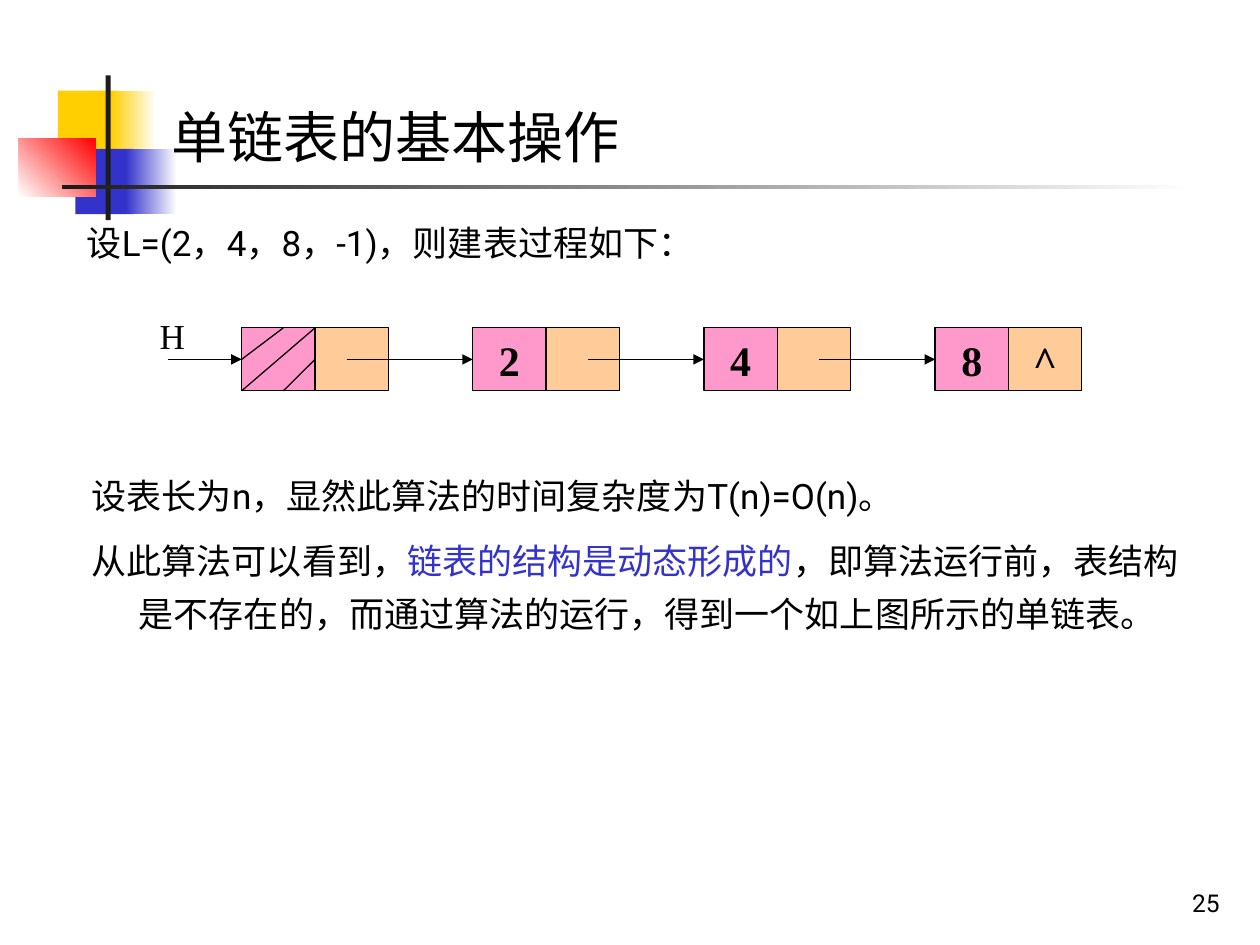
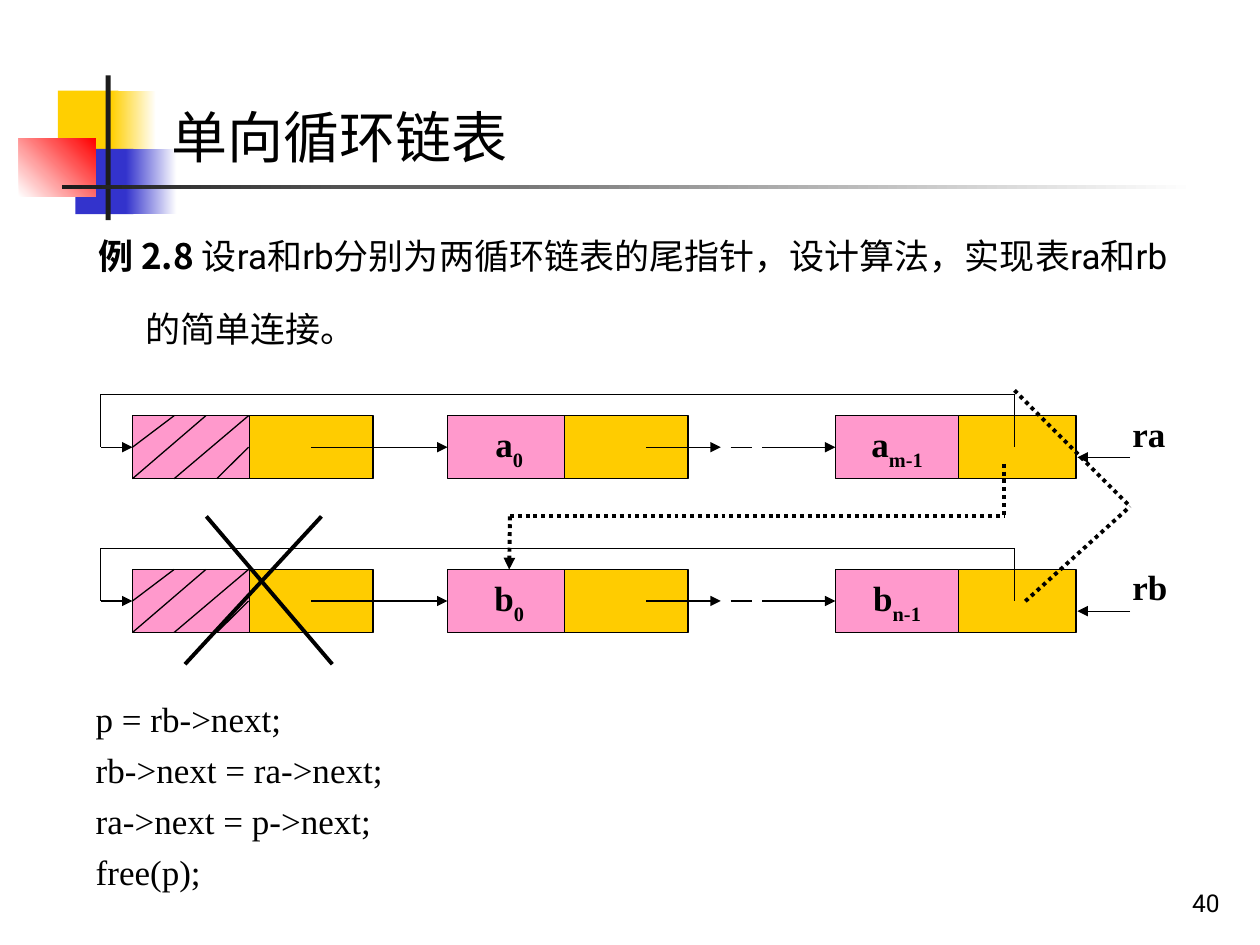
from pptx import Presentation
from pptx.dml.color import RGBColor
from pptx.enum.dml import MSO_LINE
from pptx.enum.shapes import MSO_CONNECTOR as CONNECTOR, MSO_SHAPE as SHAPE
from pptx.enum.text import MSO_ANCHOR as ANCHOR, PP_ALIGN as ALIGN
from pptx.oxml.ns import qn
from pptx.util import Cm, Pt
from lxml.etree import SubElement

BLACK, WHITE, INK = "000000", "FFFFFF", "1C1C1C"
YELLOW, BLUE, RED = "FFCF01", "3333CC", "FF0000"
PINK, PEACH, GOLD = "FF99CC", "FFCC99", "FFCC00"
BODY_FONT, TITLE_FONT, CJK_FONT = "Roboto", "Noto Sans CJK JP", "Noto Sans CJK SC"
SERIF = "Times New Roman"
CELL_HEIGHT = 1.27
MIDDLE = CELL_HEIGHT / 2


def color(value):
    return RGBColor.from_string(value)


# ---- Text ----
def add_run(paragraph, text, size=20, font=BODY_FONT, fill=BLACK, bold=False,
            subscript=False):
    run = paragraph.add_run()
    run.text = text
    run.font.size = Pt(size)
    run.font.name = font
    run.font.bold = bold
    run.font.color.rgb = color(fill)
    properties = run.font._element
    east_asian = TITLE_FONT if font == TITLE_FONT else CJK_FONT
    SubElement(properties, qn("a:ea")).set("typeface", east_asian)
    if subscript:
        properties.set("baseline", "-30000")


def write(shape, paragraphs, align=ALIGN.LEFT, anchor=ANCHOR.TOP, margin=0.25,
          space=0, line_spacing=None, hanging=0, **run_format):
    """Each paragraph is a string or a list of (text, format changes)."""
    frame = shape.text_frame
    frame.word_wrap = True
    frame.vertical_anchor = anchor
    frame.margin_left = frame.margin_right = Cm(margin)
    frame.margin_top = frame.margin_bottom = Cm(0.13)
    for index, content in enumerate(paragraphs):
        paragraph = frame.add_paragraph() if index else frame.paragraphs[0]
        paragraph.alignment = align
        if index:
            paragraph.space_before = Pt(space)
        if line_spacing:
            paragraph.line_spacing = line_spacing
        if hanging:
            properties = paragraph._p.get_or_add_pPr()
            properties.set("marL", str(Cm(hanging)))
            properties.set("indent", str(-Cm(hanging)))
        runs = [(content, {})] if isinstance(content, str) else content
        for text, changes in runs:
            add_run(paragraph, text, **{**run_format, **changes})


def add_text(slide, left, top, width, height, paragraphs, **text_format):
    box = slide.shapes.add_textbox(Cm(left), Cm(top), Cm(width), Cm(height))
    write(box, paragraphs, **text_format)


# ---- Shapes and lines ----
def add_box(slide, left, top, width, height, fill, fade=None, angle=0, line=None):
    box = slide.shapes.add_shape(SHAPE.RECTANGLE, Cm(left), Cm(top), Cm(width), Cm(height))
    box.shadow.inherit = False
    if fade:
        box.fill.gradient()
        box.fill.gradient_angle = angle
        for stop, value in zip(box.fill.gradient_stops, (fill, fade)):
            stop.color.rgb = color(value)
    else:
        box.fill.solid()
        box.fill.fore_color.rgb = color(fill)
    if line:
        box.line.color.rgb = color(line)
        box.line.width = Pt(0.75)
    else:
        box.line.fill.background()
    return box


def add_line(slide, x1, y1, x2, y2, width=0.75, arrow=False, dotted=False, target=None,
             side=1):
    connector = slide.shapes.add_connector(CONNECTOR.STRAIGHT, Cm(x1), Cm(y1), Cm(x2), Cm(y2))
    if target is not None:
        connector.end_connect(target, side)
    connector.line.width = Pt(width)
    connector.line.color.rgb = color(BLACK)
    if dotted:
        connector.line.dash_style = MSO_LINE.ROUND_DOT
    if arrow:
        SubElement(connector.line._get_or_add_ln(), qn("a:tailEnd")).set("type", "triangle")
    SubElement(connector._element.spPr, qn("a:effectLst"))


def add_hatch(slide, left, top, strokes):
    for x1, y1, x2, y2 in strokes:
        add_line(slide, left + x1, top + y1, left + x2, top + y2)


# ---- Shared frame: ornament, title, page number ----
def new_slide(presentation, title, number):
    slide = presentation.slides.add_slide(presentation.slide_layouts[6])
    add_box(slide, 1.17, 1.83, 1.22, 1.32, YELLOW)
    add_box(slide, 2.24, 1.83, 0.91, 1.32, YELLOW, fade=WHITE)
    add_box(slide, 1.52, 3, 1.17, 1.32, BLUE)
    add_box(slide, 2.54, 3, 1.02, 1.32, BLUE, fade=WHITE)
    add_box(slide, 0.38, 2.79, 1.55, 1.17, WHITE, fade=RED, angle=45)
    add_box(slide, 2.13, 1.52, 0.1, 2.92, INK)
    add_box(slide, 1.25, 3.73, 22.86, 0.08, INK, fade=WHITE)
    add_text(slide, 3.2, 1.93, 22.2, 1.63, [title], size=32, font=TITLE_FONT)
    add_text(slide, 19.56, 17.35, 5.28, 1.27, [str(number)], size=14,
             align=ALIGN.RIGHT, anchor=ANCHOR.BOTTOM)
    return slide


# ---- Linked list with a head node ----
def draw_linked_list(slide, left, top, values):
    cell, pitch = 1.48, 4.66
    first = left + 1.49
    add_text(slide, left - 0.41, top - 0.4, 1.07, 1.12, ["H"], font=SERIF)
    arrow_start = left
    for index, value in enumerate([None, *values]):
        x = first + index * pitch
        data = add_box(slide, x, top, cell, CELL_HEIGHT, PINK, line=BLACK)
        link = add_box(slide, x + cell, top, cell, CELL_HEIGHT, PEACH, line=BLACK)
        cell_text = dict(size=24, font=SERIF, bold=True, align=ALIGN.CENTER,
                         anchor=ANCHOR.MIDDLE)
        if value:
            write(data, [value], **cell_text)
        if index == len(values):
            write(link, ["^"], **cell_text)
        add_line(slide, arrow_start, top + MIDDLE, x, top + MIDDLE, arrow=True, target=data)
        arrow_start = x + (2.33 if index else 2.12)
    add_hatch(slide, first, top, [(0.84, 0, 0, MIDDLE), (cell, 0, 0, CELL_HEIGHT),
                                  (cell, MIDDLE, 0.84, CELL_HEIGHT)])


# ---- Circular list with a tail pointer; gives back its first data cell ----
def draw_circular_list(slide, left, top, letter, last_index, pointer):
    cell, link_offset = 2.49, 2.36
    cells_top = top + 0.43
    axis = cells_top + MIDDLE
    data_cells = []
    for x, index in ((0.64, None), (6.99, "0"), (14.81, last_index)):
        parts = [(x, PINK), (x + link_offset, GOLD)]
        if index == last_index:
            parts.reverse()
        boxes = {fill: add_box(slide, left + offset, cells_top, cell, CELL_HEIGHT, fill,
                               line=BLACK) for offset, fill in parts}
        if index:
            write(boxes[PINK], [[(letter, {}), (index, {"subscript": True})]], font=SERIF,
                  bold=True, align=ALIGN.CENTER, anchor=ANCHOR.MIDDLE)
        data_cells.append(boxes[PINK])
    head, first, last = data_cells
    add_hatch(slide, left + 0.64, cells_top,
              [(0.84, 0, 0, MIDDLE), (2.34, 0, 0.84, CELL_HEIGHT),
               (1.48, 0, 0, CELL_HEIGHT), (2.34, MIDDLE, 1.7, CELL_HEIGHT)])

    # Links between nodes, with a gap for the nodes left out
    for x1, x2, target in ((0, 0.64, head), (4.24, 6.99, first), (13.34, 14.81, last)):
        add_line(slide, left + x1, axis, left + x2, axis, arrow=True, target=target)
    add_line(slide, left + 11, axis, left + 12.5, axis, arrow=True)
    add_line(slide, left + 12.7, axis, left + 13.13, axis)

    # Return wire from the last node to the head
    right = left + 18.42
    add_line(slide, left, top, right, top)
    for x in (left, right):
        add_line(slide, x, top, x, axis)

    # Tail pointer
    add_line(slide, left + 20.75, top + 1.27, left + 19.69, top + 1.27, arrow=True)
    add_text(slide, left + 20.75, top + 0.23, 1.27, 1.12, [pointer], font=SERIF,
             bold=True, margin=0.05)
    return first


# ---- Dotted new links and the cross over the freed head node ----
def draw_joining(slide, left, top, target):
    turn = top + 2.46
    dotted = dict(width=2.25, dotted=True)
    add_line(slide, left + 8.25, turn, left + 8.25, top + 3.53, arrow=True, target=target,
             side=0, **dotted)
    for x1, y1, x2, y2 in ((18.21, 1.4, 18.21, 2.46), (8.25, 2.46, 18.21, 2.46),
                           (18.64, 4.17, 20.75, 2.26), (18.42, -0.08, 20.75, 2.26)):
        add_line(slide, left + x1, top + y1, left + x2, top + y2, **dotted)
    for x1, x2 in ((2.13, 4.67), (4.45, 1.7)):
        add_line(slide, left + x1, turn, left + x2, top + 5.44, width=2.25)


def build_basic_operations(presentation):
    slide = new_slide(presentation, "单链表的基本操作", 25)
    add_text(slide, 1.5, 4.34, 18.8, 1.12, ["设L=(2，4，8，-1)，则建表过程如下："])
    add_text(slide, 1.6, 9.22, 23.11, 6.27, [
        "设表长为n，显然此算法的时间复杂度为T(n)=O(n)。",
        [("从此算法可以看到，", {}),
         ("链表的结构是动态形成的", {"fill": BLUE}),
         ("，即算法运行前，表结构是不存在的，而通过算法的运行，得到一个如上图所示的单链表。", {})],
    ], hanging=0.95, line_spacing=1.25, space=7.5)
    draw_linked_list(slide, 3.38, 6.61, ["2", "4", "8"])


def build_circular_list(presentation):
    slide = new_slide(presentation, "单向循环链表", 40)
    add_text(slide, 1.73, 4.47, 22.53, 3.38, [[
        ("例 2.8 ", {"font": CJK_FONT, "bold": True}),
        ("设ra和rb分别为两循环链表的尾指针，设计算法，实现表ra和rb的简单连接。", {}),
        (" ", {"size": 32}),
    ]], hanging=0.95, line_spacing=1.15)
    left, top = 2.03, 7.95
    draw_circular_list(slide, left, top, "a", "m-1", "ra")
    first_b = draw_circular_list(slide, left, top + 3.1, "b", "n-1", "rb")
    draw_joining(slide, left, top, first_b)
    add_text(slide, 1.68, 13.94, 21.59, 4.17, [
        "p = rb->next;", "rb->next = ra->next;", "ra->next = p->next;", "free(p);",
    ], font=SERIF, space=5)


def main():
    presentation = Presentation()
    presentation.slide_width, presentation.slide_height = Cm(25.4), Cm(19.05)
    build_basic_operations(presentation)
    build_circular_list(presentation)
    presentation.save("out.pptx")


if __name__ == "__main__":
    main()
